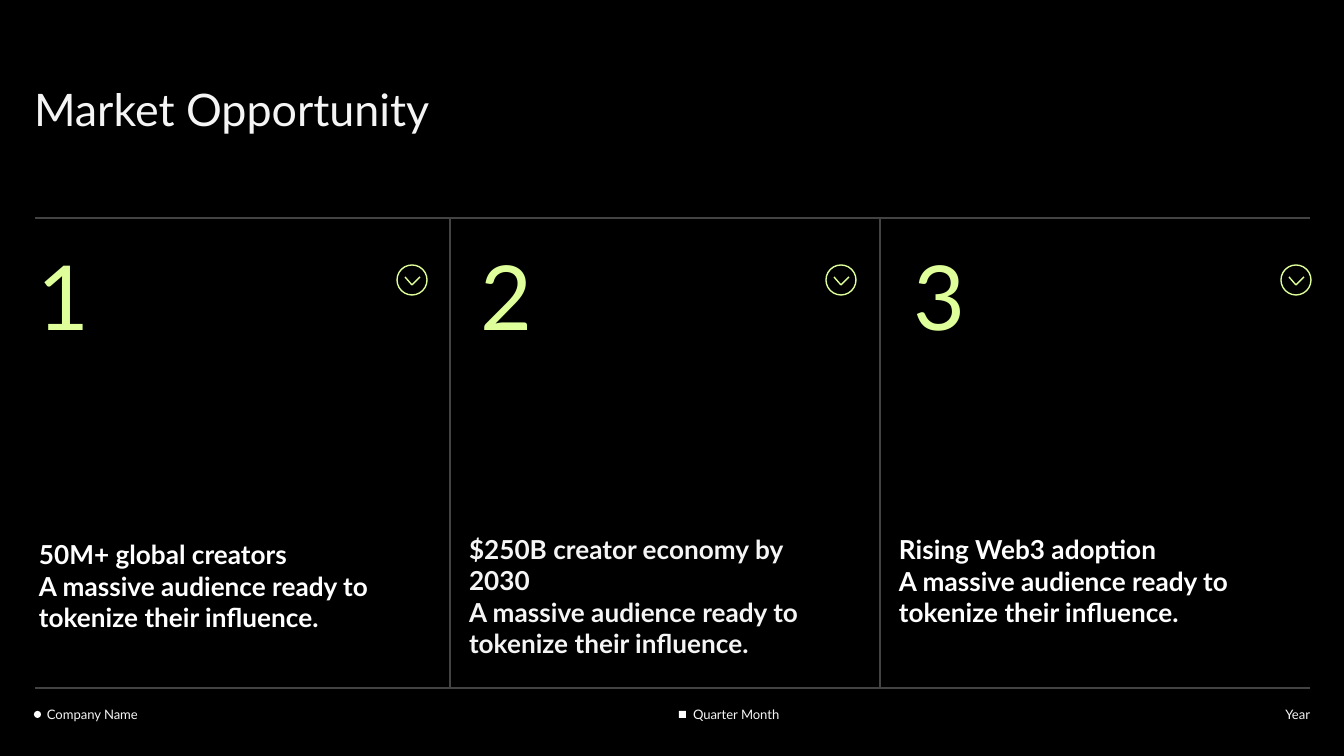
import dataclasses

import pptx
import pptx.dml.color
import pptx.enum.shapes
import pptx.enum.text
import pptx.oxml.ns
import pptx.util
from lxml import etree

SHAPE = pptx.enum.shapes.MSO_SHAPE
ANCHOR = pptx.enum.text.MSO_ANCHOR
ALIGN = pptx.enum.text.PP_ALIGN


@dataclasses.dataclass(frozen=True)
class Theme:
    font: str = "Lato"
    background: str = "000000"
    white: str = "FFFFFF"
    soft_white: str = "F5F5F5"
    accent: str = "DEFF9A"
    rule: str = "434343"
    title_size: int = 24
    number_size: int = 48
    body_size: int = 14
    footer_size: int = 7
    line_width: float = 0.75


def emu(px):
    return pptx.util.Emu(round(px * 914400 / 134.4))


def rgb(code):
    return pptx.dml.color.RGBColor.from_string(code)


class SlideWriter:
    def __init__(self, theme, page):
        self.theme = theme
        self.page = page
        page.background.fill.solid()
        page.background.fill.fore_color.rgb = rgb(theme.background)

    def line(self, start, end, color, parent=None):
        shapes = (parent or self.page).shapes
        connector = shapes.add_connector(
            pptx.enum.shapes.MSO_CONNECTOR.STRAIGHT,
            *map(emu, (*start, *end)))
        connector.line.color.rgb = rgb(color)
        connector.line.width = pptx.util.Pt(self.theme.line_width)
        properties = connector._element.spPr
        etree.SubElement(properties, pptx.oxml.ns.qn("a:effectLst"))

    def marker(self, kind, left, top, size):
        shape = self.page.shapes.add_shape(
            kind, *map(emu, (left, top, size, size)))
        shape.shadow.inherit = False
        shape.fill.solid()
        shape.fill.fore_color.rgb = rgb(self.theme.white)
        shape.line.fill.background()

    def chevron_icon(self, left, top):
        """Draw a ring with a downward chevron, as one group."""
        group = self.page.shapes.add_group_shape()
        ring = group.shapes.add_shape(
            SHAPE.OVAL, *map(emu, (left, top, 30, 30)))
        ring.shadow.inherit = False
        ring.fill.background()
        ring.line.color.rgb = rgb(self.theme.accent)
        ring.line.width = pptx.util.Pt(self.theme.line_width)
        tip = (left + 15, top + 20)
        for offset in (8, 23):
            self.line((left + offset, top + 12), tip,
                      self.theme.accent, group)

    def text(self, area, lines, size, color, bold=False, inset=13,
             anchor=ANCHOR.TOP, align=ALIGN.LEFT, spacing=1.0):
        """Write one paragraph per line; inset pads the right and bottom."""
        box = self.page.shapes.add_textbox(*map(emu, area))
        frame = box.text_frame
        frame.word_wrap = True
        frame.vertical_anchor = anchor
        frame.margin_left = frame.margin_top = 0
        frame.margin_right = frame.margin_bottom = emu(inset)
        frame.text = "\n".join(lines)
        for para in frame.paragraphs:
            para.alignment = align
            para.line_spacing = spacing
            for span in para.runs:
                span.font.name = self.theme.font
                span.font.size = pptx.util.Pt(size)
                span.font.bold = bold
                span.font.color.rgb = rgb(color)


def main():
    deck = pptx.Presentation()
    deck.slide_width, deck.slide_height = emu(1344), emu(756)
    theme = Theme()
    writer = SlideWriter(theme, deck.slides.add_slide(deck.slide_layouts[6]))

    left, right, top, bottom = 35, 1310, 218, 688
    for y in (top, bottom):
        writer.line((left, y), (right, y), theme.rule)
    for x in (450, 880):
        writer.line((x, top), (x, bottom), theme.rule)

    writer.text((34, 90, 1062, 59), ["Market Opportunity"],
                theme.title_size, theme.soft_white, spacing=0.85)

    # Number left, icon left, body left, body bottom, headline, body colour
    columns = [
        (38, 397, 39, 646, "50M+ global creators", theme.white),
        (481, 826, 469, 672, "$250B creator economy by 2030",
         theme.soft_white),
        (914, 1281, 899, 641, "Rising Web3 adoption", theme.white),
    ]
    detail = "A massive audience ready to tokenize their influence."
    body_height = 155
    for number, column in enumerate(columns, start=1):
        number_left, icon_left, body_left, body_bottom, headline, color = column
        writer.text((number_left, 241, 165, 175), [str(number)],
                    theme.number_size, theme.accent)
        writer.chevron_icon(icon_left, 265)
        writer.text((body_left, body_bottom - body_height, 391, body_height),
                    [headline, detail], theme.body_size, color,
                    bold=True, anchor=ANCHOR.BOTTOM)

    writer.marker(SHAPE.OVAL, 34, 711, 7)
    writer.marker(SHAPE.RECTANGLE, 679, 711, 7)
    footers = [
        (47, 396, "Company Name", ALIGN.LEFT),
        (693, 337, "Quarter Month", ALIGN.LEFT),
        (1008, 302, "Year", ALIGN.RIGHT),
    ]
    for footer_left, width, label, align in footers:
        writer.text((footer_left, 687, width, 35), [label],
                    theme.footer_size, theme.soft_white, inset=0,
                    anchor=ANCHOR.BOTTOM, align=align)

    deck.save("out.pptx")


if __name__ == "__main__":
    main()
